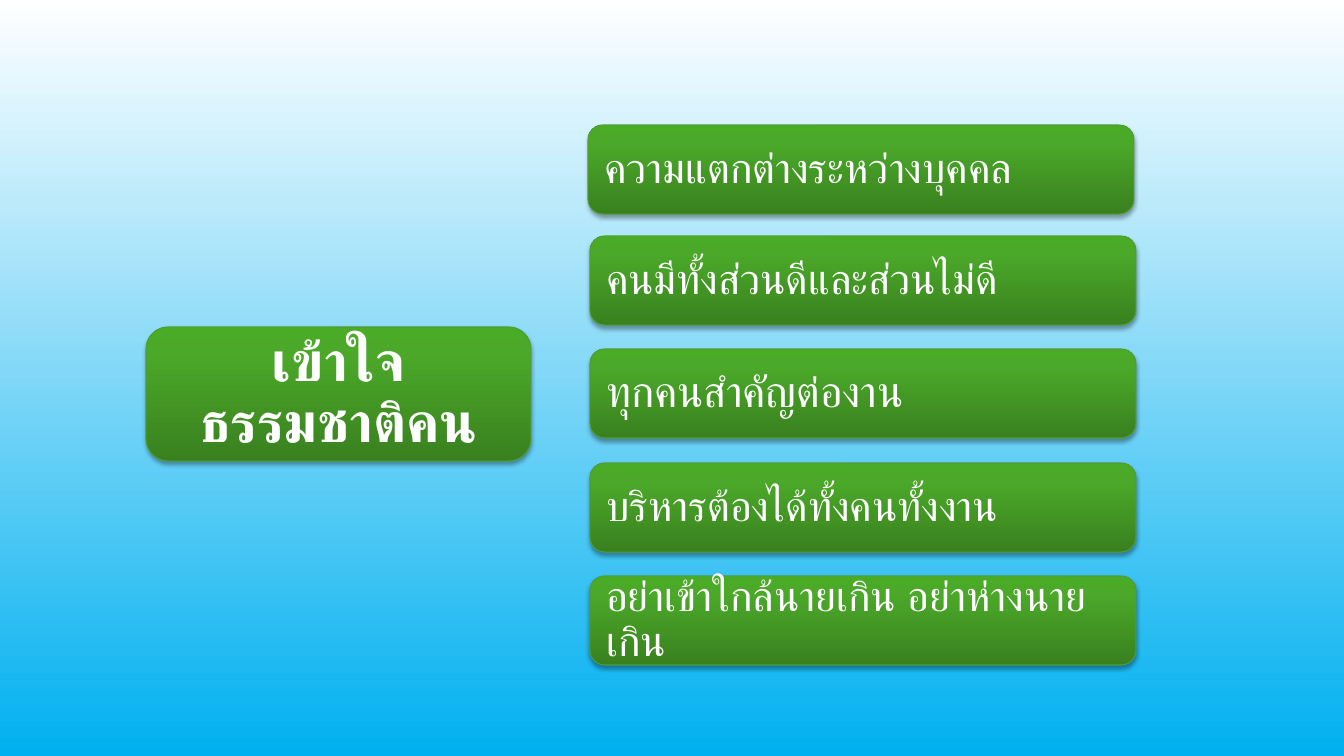
import copy
import lxml.etree
import pptx
import pptx.util
import pptx.dml.color
import pptx.enum.shapes
import pptx.enum.text
import pptx.oxml
import pptx.oxml.ns

RGB = pptx.dml.color.RGBColor
WHITE = RGB(0xFF, 0xFF, 0xFF)
SKY = RGB(0x00, 0xB0, 0xF0)
GREENS = [(0, RGB(0x39, 0x81, 0x1F)), (0.8, RGB(0x4B, 0xA8, 0x29)), (1, RGB(0x4A, 0xAB, 0x26))]
EDGE = RGB(0x51, 0x9D, 0x35)
FONT = "Quicksand"
PX = 914400 / 100.8
SHADOW = (
    '<a:outerShdw xmlns:a="http://schemas.openxmlformats.org/drawingml/2006/main" '
    'blurRad="40000" dist="23000" dir="5400000" rotWithShape="0">'
    '<a:srgbClr val="000000"><a:alpha val="35000"/></a:srgbClr></a:outerShdw>'
)


def px(n):
    return pptx.util.Emu(round(n * PX))


def set_gradient(fill, stops, angle):
    fill.gradient()
    fill.gradient_angle = angle
    gs_list = fill.gradient_stops[0]._gs.getparent()
    while len(gs_list) < len(stops):
        gs_list.append(copy.deepcopy(gs_list[-1]))
    for stop, (position, color) in zip(fill.gradient_stops, stops):
        stop.position = position
        stop.color.rgb = color


prs = pptx.Presentation()
prs.slide_width, prs.slide_height = px(1344), px(756)
s = prs.slides.add_slide(prs.slide_layouts[6])

# Background: white fading down to sky blue
set_gradient(s.background.fill, [(0, WHITE), (1, SKY)], 270)

# Boxes: the topic on the left, then the five points on the right
CENTER, LEFT = pptx.enum.text.PP_ALIGN.CENTER, pptx.enum.text.PP_ALIGN.LEFT
topic = ("เข้าใจธรรมชาติคน", (146, 327, 385, 134), 17, CENTER, {"size": 40, "bold": True})
points = [
    ("ความแตกต่างระหว่างบุคคล", 588, 125, 30),
    ("คนมีทั้งส่วนดีและส่วนไม่ดี", 590, 236, 30),
    ("ทุกคนสำคัญต่องาน", 590, 349, 31),
    ("บริหารต้องได้ทั้งคนทั้งงาน", 590, 463, 30),
    ("อย่าเข้าใกล้นายเกิน อย่าห่างนายเกิน", 590, 576, 30),
]
boxes = [topic] + [
    (text, (x, y, 546, 89), 12, LEFT, {"size": size, "bold": False})
    for text, x, y, size in points
]

for text, frame, inset, align, style in boxes:
    sp = s.shapes.add_shape(
        pptx.enum.shapes.MSO_SHAPE.ROUNDED_RECTANGLE, *[px(n) for n in frame])
    set_gradient(sp.fill, GREENS, 90)
    sp.line.color.rgb = EDGE
    sp.line.width = pptx.util.Pt(0.75)
    sp.shadow.inherit = False
    effects = sp._element.spPr.find(pptx.oxml.ns.qn("a:effectLst"))
    effects.append(pptx.oxml.parse_xml(SHADOW))

    tf = sp.text_frame
    tf.word_wrap = True
    tf.vertical_anchor = pptx.enum.text.MSO_ANCHOR.MIDDLE
    for side in ("left", "top", "right", "bottom"):
        setattr(tf, "margin_" + side, px(inset))
    p = tf.paragraphs[0]
    p.alignment = align
    p.line_spacing = 0.9
    r = p.add_run()
    r.text = text
    r.font.color.rgb = WHITE
    for name, value in {**style, "size": pptx.util.Pt(style["size"]), "name": FONT}.items():
        setattr(r.font, name, value)
    # Thai text takes the complex-script font
    cs = lxml.etree.SubElement(r.font._element, pptx.oxml.ns.qn("a:cs"))
    cs.set("typeface", FONT)

prs.save("out.pptx")
